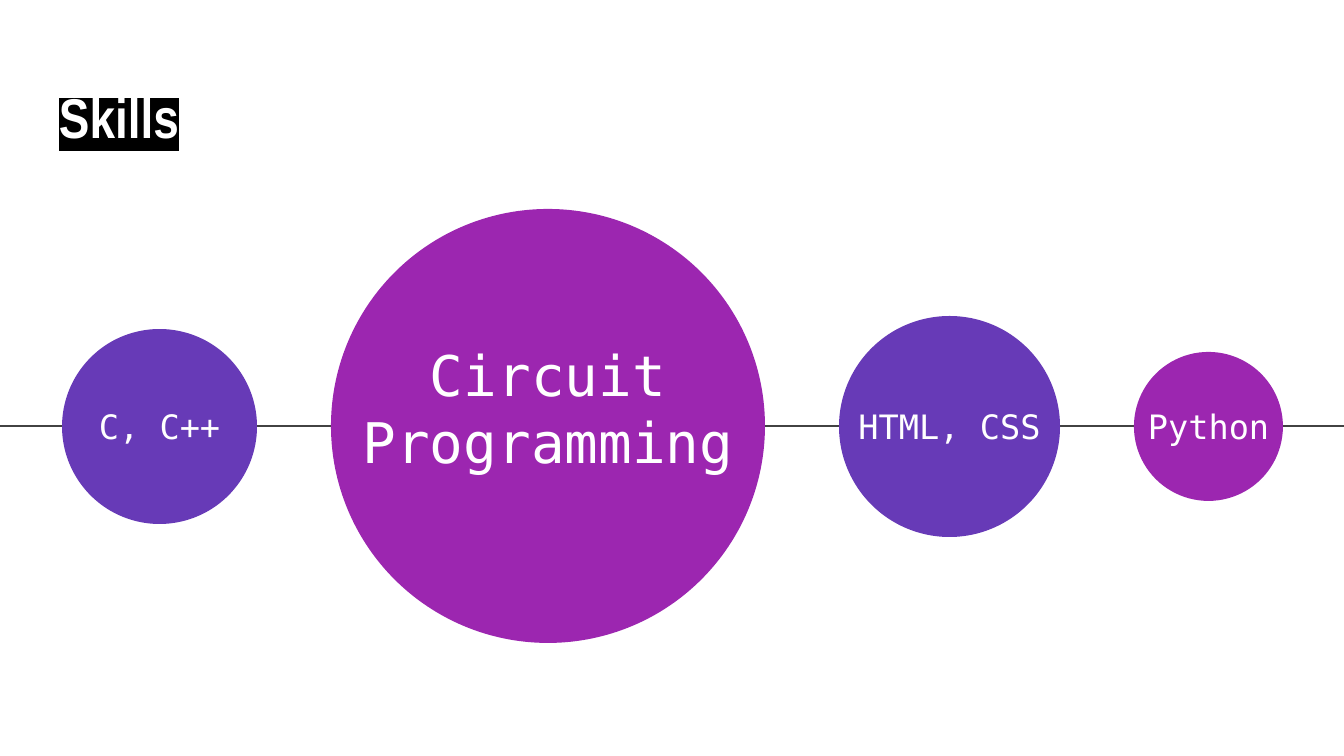
from dataclasses import dataclass

from lxml import etree
from pptx import Presentation
from pptx.dml.color import RGBColor
from pptx.enum.shapes import MSO_CONNECTOR, MSO_SHAPE
from pptx.enum.text import MSO_ANCHOR, PP_ALIGN
from pptx.oxml.ns import qn
from pptx.util import Emu, Pt

STRAIGHT = MSO_CONNECTOR.STRAIGHT
OVAL = MSO_SHAPE.OVAL
MIDDLE, BOTTOM = MSO_ANCHOR.MIDDLE, MSO_ANCHOR.BOTTOM
LEFT, CENTER = PP_ALIGN.LEFT, PP_ALIGN.CENTER

WHITE = RGBColor(0xFF, 0xFF, 0xFF)
BLACK = RGBColor(0x00, 0x00, 0x00)
GREY = RGBColor(0x42, 0x42, 0x42)
INDIGO = RGBColor(0x67, 0x3A, 0xB7)
PURPLE = RGBColor(0x9C, 0x26, 0xB0)

PX_PER_INCH = 134.4
SLIDE_WIDTH, SLIDE_HEIGHT = 1344, 756
INSET = 13
AXIS_Y = 426
FIRST_LEFT = 62
GAP = 74


@dataclass(frozen=True)
class Skill:
    label: str
    diameter: int
    color: RGBColor
    label_width: int
    label_height: int = 88
    label_y: int = AXIS_Y
    size: int = 18


SKILLS = [
    Skill("C, C++", 195, INDIGO, 195),
    Skill("Circuit\nProgramming", 434, PURPLE, 434, 359, 407, 30),
    Skill("HTML, CSS", 221, INDIGO, 221),
    Skill("Python", 149, PURPLE, 221),
]


def px(length: int) -> Emu:
    return Emu(round(length * 914400 / PX_PER_INCH))


def add_text(slide, text: str, left: int, top: int, width: int, height: int, *,
             size: int, font: str, anchor=MIDDLE, align=CENTER,
             bold: bool = False, highlight: RGBColor | None = None) -> None:
    frame = slide.shapes.add_textbox(px(left), px(top), px(width), px(height)).text_frame
    frame.word_wrap = True
    frame.vertical_anchor = anchor
    frame.margin_left = frame.margin_right = px(INSET)
    frame.margin_top = frame.margin_bottom = px(INSET)
    frame.text = text
    for paragraph in frame.paragraphs:
        paragraph.alignment = align
        for run in paragraph.runs:
            run.font.size = Pt(size)
            run.font.name = font
            run.font.bold = bold
            run.font.color.rgb = WHITE
            if highlight is not None:
                marker = etree.Element(qn("a:highlight"))
                etree.SubElement(marker, qn("a:srgbClr"), val=str(highlight))
                run._r.rPr.find(qn("a:solidFill")).addnext(marker)


def add_axis(slide) -> None:
    axis = slide.shapes.add_connector(
        STRAIGHT, px(-1), px(AXIS_Y), px(SLIDE_WIDTH), px(AXIS_Y))
    axis.line.color.rgb = GREY
    axis.line.width = Pt(1.5)
    etree.SubElement(axis._element.spPr, qn("a:effectLst"))


def add_skill(slide, skill: Skill, left: int) -> None:
    circle = slide.shapes.add_shape(
        OVAL, px(left), px(AXIS_Y - skill.diameter // 2),
        px(skill.diameter), px(skill.diameter))
    circle.shadow.inherit = False
    circle.fill.solid()
    circle.fill.fore_color.rgb = skill.color
    circle.line.fill.background()
    add_text(slide, skill.label,
             left + (skill.diameter - skill.label_width) // 2,
             skill.label_y - skill.label_height // 2,
             skill.label_width, skill.label_height,
             size=skill.size, font="DejaVu Sans Mono")


def main() -> None:
    deck = Presentation()
    deck.slide_width, deck.slide_height = px(SLIDE_WIDTH), px(SLIDE_HEIGHT)
    slide = deck.slides.add_slide(deck.slide_layouts[6])
    slide.background.fill.solid()
    slide.background.fill.fore_color.rgb = WHITE

    add_axis(slide)
    add_text(slide, "Skills", 46, 55, 1252, 108, size=30, font="Arial Narrow",
             anchor=BOTTOM, align=LEFT, bold=True, highlight=BLACK)
    left = FIRST_LEFT
    for skill in SKILLS:
        add_skill(slide, skill, left)
        left += skill.diameter + GAP

    deck.save("out.pptx")


if __name__ == "__main__":
    main()
